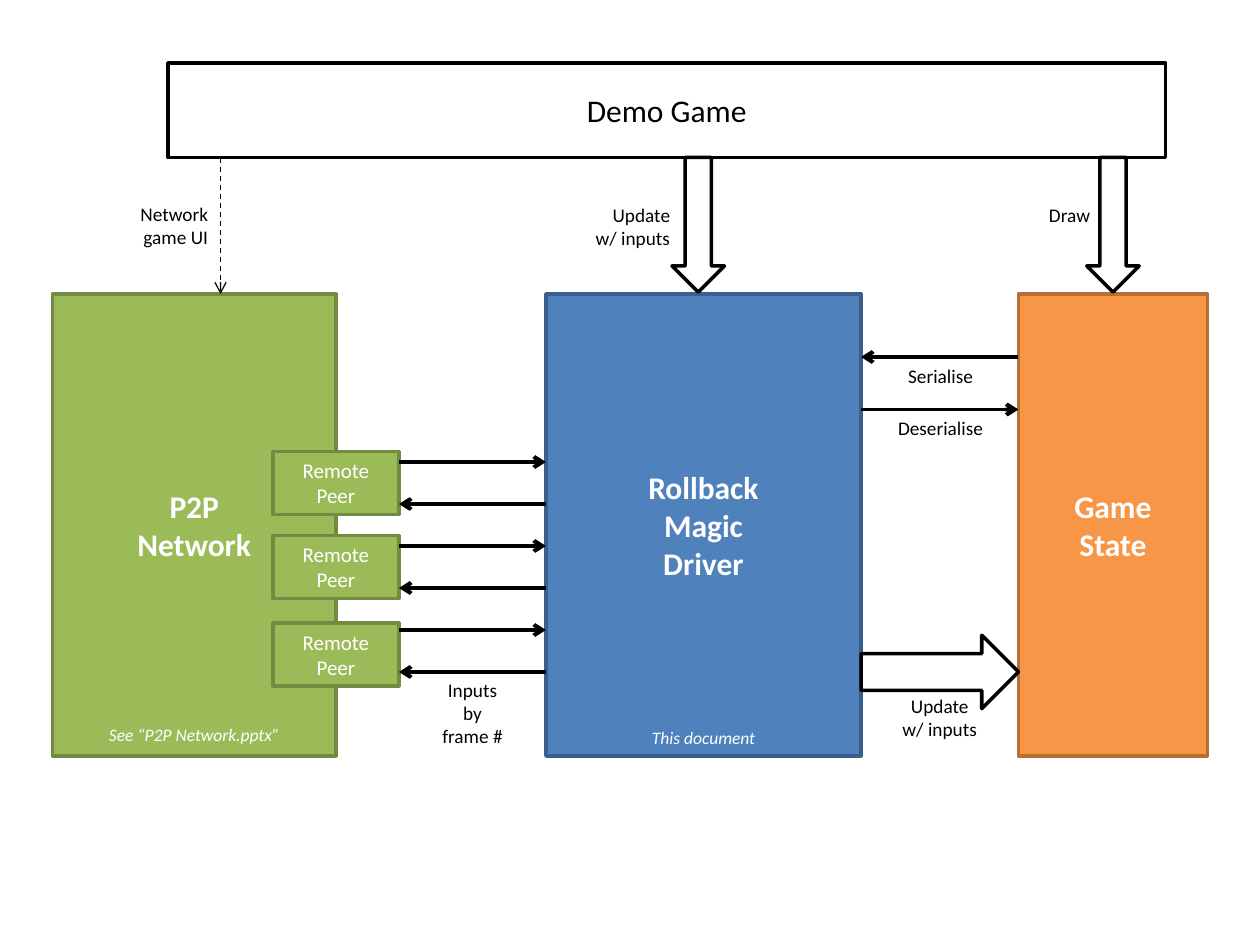
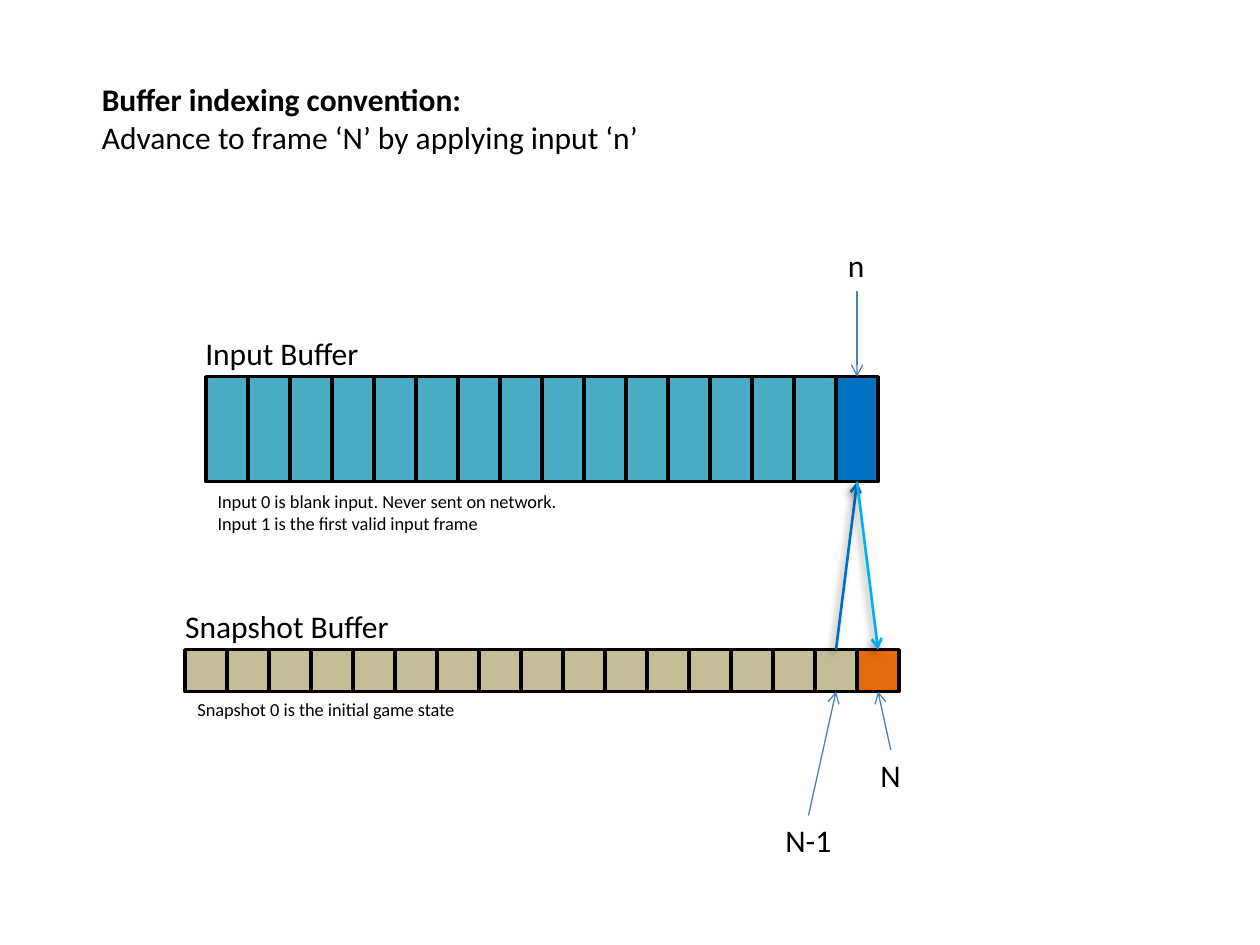
"""Builds two slides: a rollback networking overview and its buffer indexing."""
import dataclasses

import pptx
import pptx.dml.color
import pptx.enum.dml
import pptx.enum.shapes
import pptx.enum.text
import pptx.oxml
import pptx.oxml.ns
import pptx.util

Pt = pptx.util.Pt
SHAPE = pptx.enum.shapes.MSO_SHAPE
ALIGN = pptx.enum.text.PP_ALIGN
ANCHOR = pptx.enum.text.MSO_ANCHOR
FIT = pptx.enum.text.MSO_AUTO_SIZE


@dataclasses.dataclass(frozen=True)
class Theme:
    """Colours, type sizes and line widths of the slides."""
    font: str = "Calibri"
    black: str = "000000"
    white: str = "FFFFFF"
    green: str = "9BBB59"
    green_edge: str = "738A42"
    blue: str = "4F81BD"
    blue_edge: str = "3A5F8C"
    orange: str = "F79646"
    orange_edge: str = "B76F34"
    snapshot: str = "C4BD97"
    latest_snapshot: str = "E46C0A"
    input: str = "4BACC6"
    latest_input: str = "0070C0"
    advance: str = "00B0F0"
    pointer: str = "4B7EBC"
    heading: float = 18
    peer: float = 12
    label: float = 11
    note: float = 10.5
    caption: float = 10
    edge: float = 2
    flow: float = 2.25
    step: float = 1.5
    thin: float = 0.75


THEME = Theme()


def rgb(color):
    """Turn a hex string into a colour."""
    return pptx.dml.color.RGBColor.from_string(color)


def write(tf, text, size=THEME.heading, color=THEME.black, align=ALIGN.LEFT,
          bold=False, italic=False):
    """Fill a text frame, one paragraph for each line of text."""
    for i, line in enumerate(text.split("\n")):
        p = tf.add_paragraph() if i else tf.paragraphs[0]
        p.text = line
        p.alignment = align
        for r in p.runs:
            r.font.name = THEME.font
            r.font.size = Pt(size)
            r.font.bold = bold
            r.font.italic = italic
            r.font.color.rgb = rgb(color)


def add_box(shapes, x, y, w, h, fill=THEME.white, edge=THEME.black,
            kind=SHAPE.RECTANGLE, text="", **fmt):
    """Add a filled, outlined shape with optional centred text."""
    sp = shapes.add_shape(kind, Pt(x), Pt(y), Pt(w), Pt(h))
    sp.shadow.inherit = False
    sp.fill.solid()
    sp.fill.fore_color.rgb = rgb(fill)
    sp.line.color.rgb = rgb(edge)
    sp.line.width = Pt(THEME.edge)
    if text:
        sp.text_frame.vertical_anchor = ANCHOR.MIDDLE
        write(sp.text_frame, text, align=ALIGN.CENTER, **fmt)
    return sp


def add_label(shapes, x, y, w, h, text, wrap=False, **fmt):
    """Add a text box that grows with its text."""
    tf = shapes.add_textbox(Pt(x), Pt(y), Pt(w), Pt(h)).text_frame
    tf.word_wrap = wrap
    tf.auto_size = FIT.SHAPE_TO_FIT_TEXT
    write(tf, text, **fmt)


def add_arrow(shapes, start, end, color=THEME.black, width=THEME.flow,
              dashed=False, shadow=False):
    """Add a straight arrow between two points."""
    line = shapes.add_connector(pptx.enum.shapes.MSO_CONNECTOR.STRAIGHT,
                                *(Pt(v) for v in (*start, *end)))
    line.line.color.rgb = rgb(color)
    line.line.width = Pt(width)
    if dashed:
        line.line.dash_style = pptx.enum.dml.MSO_LINE.DASH
    nsdecl = pptx.oxml.ns.nsdecls("a")
    line.line._get_or_add_ln().append(
        pptx.oxml.parse_xml(f'<a:tailEnd {nsdecl} type="arrow"/>'))
    effect = (f'<a:outerShdw blurRad="{Pt(4)}" dist="{Pt(3)}" dir="8100000">'
              f'<a:srgbClr val="{THEME.black}"><a:alpha val="40000"/></a:srgbClr>'
              '</a:outerShdw>') if shadow else ""
    line._element.spPr.append(
        pptx.oxml.parse_xml(f"<a:effectLst {nsdecl}>{effect}</a:effectLst>"))


def add_buffer(shapes, x, y, count, cell_w, cell_h, fill, last_fill):
    """Add a grouped row of cells and return the centre x of each."""
    group = shapes.add_group_shape()
    for i in range(count):
        add_box(group.shapes, x + i * cell_w, y, cell_w, cell_h,
                last_fill if i == count - 1 else fill)
    return [x + (i + 0.5) * cell_w for i in range(count)]


def build_overview(prs):
    """Show how game, network, driver and state exchange data."""
    shapes = prs.slides.add_slide(prs.slide_layouts[6]).shapes
    game_bottom, top, height = 90, 168, 264
    peer_right, driver_left, driver_right, state_left = 228, 312, 492, 582

    add_box(shapes, 96, 36, 570, game_bottom - 36, text="Demo Game")
    for x, w, fill, edge, text in (
            (driver_left, driver_right - driver_left, THEME.blue,
             THEME.blue_edge, "Rollback\nMagic\nDriver"),
            (30, 162, THEME.green, THEME.green_edge, "P2P\nNetwork"),
            (state_left, 108, THEME.orange, THEME.orange_edge, "Game\nState")):
        add_box(shapes, x, top, w, height, fill, edge, text=text,
                color=THEME.white, bold=True)

    for i, y in enumerate((258, 306, 356)):
        add_box(shapes, peer_right - 72, y, 72, 36, THEME.green,
                THEME.green_edge, text="Remote Peer", size=THEME.peer,
                color=THEME.white)
        send = 264 + 48 * i
        add_arrow(shapes, (peer_right, send), (driver_left, send))
        add_arrow(shapes, (driver_left, send + 24), (peer_right, send + 24))

    add_arrow(shapes, (126, game_bottom), (126, top), width=THEME.thin,
              dashed=True)
    for x in (384, 621):
        add_box(shapes, x, game_bottom, 30, 77, kind=SHAPE.DOWN_ARROW)
    add_box(shapes, driver_right, 363, state_left - driver_right, 42,
            kind=SHAPE.RIGHT_ARROW)
    add_arrow(shapes, (state_left, 204), (driver_right, 204))
    add_arrow(shapes, (driver_right, 234), (state_left, 234))

    for x, y, w, h, text, align in (
            (66, 112, 60, 34, "Network game UI", ALIGN.RIGHT),
            (330, 112.75, 60, 34, "Update\nw/ inputs", ALIGN.RIGHT),
            (570, 112.75, 60, 21, "Draw", ALIGN.RIGHT),
            (507, 393, 60, 34, "Update\nw/ inputs", ALIGN.CENTER),
            (240, 384, 60, 47.5, "Inputs\vby\vframe #", ALIGN.CENTER),
            (504, 204.5, 67, 21, "Serialise", ALIGN.CENTER),
            (504, 234.25, 67, 21, "Deserialise", ALIGN.CENTER)):
        add_label(shapes, x, y, w, h, text, wrap=True, size=THEME.label,
                  align=align)
    for x, y, w, text in ((364.25, 412, 75.5, "This document"),
                          (54.5, 410, 113, "See “P2P Network.pptx”")):
        add_label(shapes, x, y, w, 19, text, size=THEME.caption,
                  color=THEME.white, align=ALIGN.CENTER, italic=True)


def add_title(slide, x, y, w, h, text):
    """Place the title: a bold first line, the rest regular."""
    title = slide.shapes.title
    title.left, title.top, title.width, title.height = map(Pt, (x, y, w, h))
    tf = title.text_frame
    tf.auto_size = FIT.NONE
    tf.vertical_anchor = ANCHOR.TOP
    write(tf, text, bold=True)
    for p in tf.paragraphs[1:]:
        p.runs[0].font.bold = False


def build_indexing(prs):
    """Show how input n leads from snapshot N-1 to snapshot N."""
    slide = prs.slides.add_slide(prs.slide_layouts[5])
    shapes = slide.shapes
    add_title(slide, 51, 42, 384.5, 51, "Buffer indexing convention:\n"
              "Advance to frame ‘N’ by applying input ‘n’")

    cell, left = 24, 105.75
    snap_top, input_top, input_h = 371.25, 215.25, 60
    snap_bottom, input_bottom = snap_top + cell, input_top + input_h
    snaps = add_buffer(shapes, left, snap_top, 17, cell, cell,
                       THEME.snapshot, THEME.latest_snapshot)
    inputs = add_buffer(shapes, left + cell / 2, input_top, 16, cell, input_h,
                        THEME.input, THEME.latest_input)
    previous, current, applied = snaps[-2], snaps[-1], inputs[-1]

    add_arrow(shapes, (previous, snap_top), (applied, input_bottom),
              THEME.latest_input, THEME.step, shadow=True)
    add_arrow(shapes, (applied, input_bottom), (current, snap_top),
              THEME.advance, THEME.step, shadow=True)
    for start, end in (((462, 466), (previous, snap_bottom)),
                       ((509, 428.5), (current, snap_bottom)),
                       ((applied, 166.5), (applied, input_top))):
        add_arrow(shapes, start, end, THEME.pointer, THEME.thin)

    for x, y, w, text in ((441.75, 465.75, 41, "N-1"), (496, 428.5, 26, "N"),
                          (477.5, 137.25, 24.5, "n"),
                          (98.75, 343.5, 132.5, "Snapshot Buffer"),
                          (110.25, 187.25, 104, "Input Buffer")):
        add_label(shapes, x, y, w, 29, text)
    add_label(shapes, 117.25, input_bottom + 1.25, 211, 32,
              "Input 0 is blank input. Never sent on network.\n"
              "Input 1 is the first valid input frame", size=THEME.note)
    add_label(shapes, left, snap_bottom, 164, 20,
              "Snapshot 0 is the initial game state", size=THEME.note)


def main():
    """Build and save the presentation."""
    prs = pptx.Presentation()
    prs.slide_width, prs.slide_height = Pt(720), Pt(540)
    build_overview(prs)
    build_indexing(prs)
    prs.save("out.pptx")


main()
